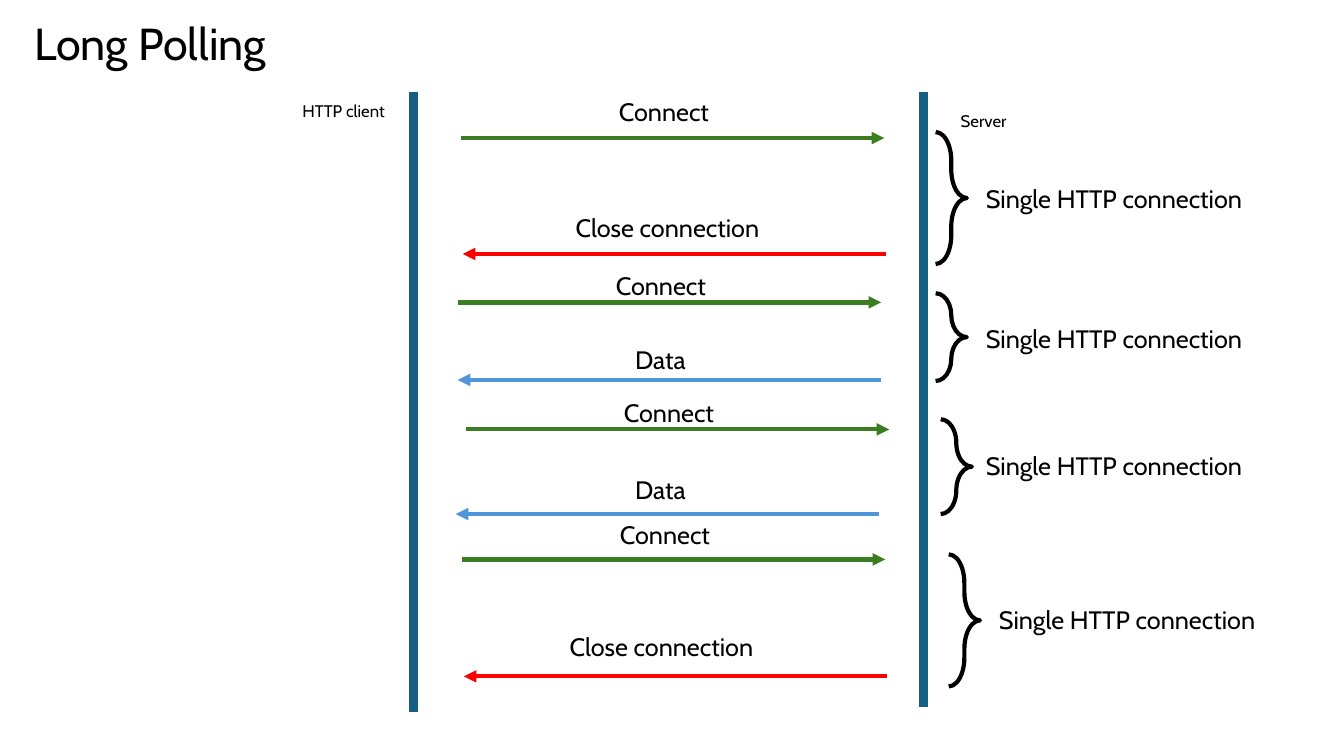
from lxml import etree
from pptx import Presentation
from pptx.dml.color import RGBColor
from pptx.enum.shapes import MSO_CONNECTOR, MSO_SHAPE
from pptx.enum.text import MSO_AUTO_SIZE, PP_ALIGN
from pptx.oxml.ns import qn
from pptx.util import Inches, Pt

STRAIGHT = MSO_CONNECTOR.STRAIGHT
BRACE = MSO_SHAPE.RIGHT_BRACE
GROW = MSO_AUTO_SIZE.SHAPE_TO_FIT_TEXT
LEFT = PP_ALIGN.LEFT

THEME = {
    "font": "Cabin", "text": "000000", "lifeline": "156082",
    "request": "3B7D23", "close": "FF0000", "data": "4E95D9",
    "title_pt": 32, "label_pt": 18, "small_pt": 12,
    "lifeline_pt": 6, "line_pt": 3,
}

SLIDE_W, SLIDE_H = 13.33, 7.5
LIFELINE_TOP = 0.91
ARROW_SPAN = 4.2
BRACE_W = 0.31
BRACE_ADJ = (0.915, 0.5)
HEIGHTS = {"title_pt": 0.64, "label_pt": 0.4, "small_pt": 0.3}

CAPTIONS = [
    ("Long Polling", 0.24, 0.11, 2.53, "title_pt"),
    ("HTTP client", 2.9, 0.95, 1.02, "small_pt"),
    ("Server", 9.43, 1.05, 0.66, "small_pt"),
]
LIFELINES = [(4.1, 7.06), (9.16, 7.01)]

KINDS = {
    "request": ("Connect", 1.14, True),
    "close": ("Close connection", 2.12, False),
    "data": ("Data", 0.72, False),
}
# kind, arrow left, arrow y, label left, label top
MESSAGES = [
    ("request", 4.57, 1.37, 6.04, 0.91),
    ("close", 4.59, 2.52, 5.61, 2.06),
    ("request", 4.54, 3.0, 6.01, 2.63),
    ("data", 4.54, 3.77, 6.2, 3.37),
    ("request", 4.62, 4.26, 6.09, 3.89),
    ("data", 4.52, 5.1, 6.2, 4.66),
    ("request", 4.58, 5.55, 6.05, 5.1),
    ("close", 4.6, 6.71, 5.55, 6.21),
]

SPAN_LABEL, SPAN_LABEL_W = "Single HTTP connection", 2.76
# brace left, brace top, brace height, label left, label top
SPANS = [
    (9.28, 1.31, 1.31, 9.68, 1.77),
    (9.28, 2.91, 0.87, 9.68, 3.16),
    (9.33, 4.16, 0.94, 9.68, 4.42),
    (9.41, 5.5, 1.31, 9.81, 5.95),
]


def add_label(s, text, x, y, w, size):
    box = (Inches(v) for v in (x, y, w, HEIGHTS[size]))
    tf = s.shapes.add_textbox(*box).text_frame
    tf.word_wrap = False
    tf.auto_size = GROW
    p = tf.paragraphs[0]
    p.alignment = LEFT
    r = p.add_run()
    r.text = text
    for name, value in {"name": THEME["font"], "size": Pt(THEME[size])}.items():
        setattr(r.font, name, value)
    r.font.color.rgb = RGBColor.from_string(THEME["text"])


def style_line(shape, color, width):
    shape.line.color.rgb = RGBColor.from_string(THEME[color])
    shape.line.width = Pt(THEME[width])


def add_line(s, x1, y1, x2, y2, color, width, arrow=False):
    ends = (Inches(v) for v in (x1, y1, x2, y2))
    line = s.shapes.add_connector(STRAIGHT, *ends)
    style_line(line, color, width)
    if arrow:
        ln = line.line._get_or_add_ln()
        etree.SubElement(ln, qn("a:tailEnd")).set("type", "triangle")
    etree.SubElement(line._element.spPr, qn("a:effectLst"))


def add_brace(s, x, y, h):
    box = (Inches(v) for v in (x, y, BRACE_W, h))
    brace = s.shapes.add_shape(BRACE, *box)
    for i, value in enumerate(BRACE_ADJ):
        brace.adjustments[i] = value
    brace.shadow.inherit = False
    brace.fill.background()
    style_line(brace, "text", "line_pt")


def main():
    prs = Presentation()
    prs.slide_width, prs.slide_height = Inches(SLIDE_W), Inches(SLIDE_H)
    s = prs.slides.add_slide(prs.slide_layouts[6])

    for caption in CAPTIONS:
        add_label(s, *caption)
    for x, bottom in LIFELINES:
        add_line(s, x, LIFELINE_TOP, x, bottom, "lifeline", "lifeline_pt")
    for kind, left, y, label_x, label_y in MESSAGES:
        text, label_w, to_server = KINDS[kind]
        ends = (left, left + ARROW_SPAN)
        start, end = ends if to_server else ends[::-1]
        add_line(s, start, y, end, y, kind, "line_pt", arrow=True)
        add_label(s, text, label_x, label_y, label_w, "label_pt")
    for x, y, h, label_x, label_y in SPANS:
        add_brace(s, x, y, h)
        add_label(s, SPAN_LABEL, label_x, label_y, SPAN_LABEL_W, "label_pt")

    prs.save("out.pptx")


if __name__ == "__main__":
    main()
